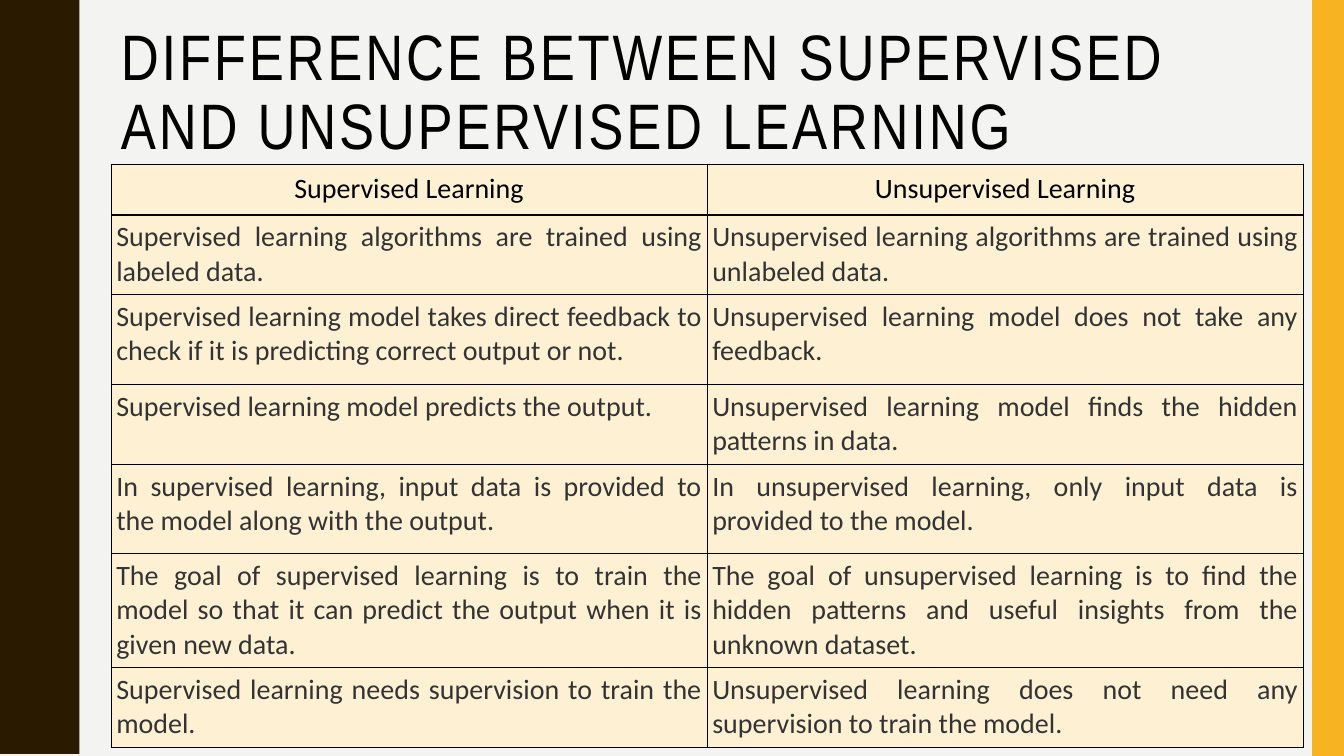
"""Build a slide comparing supervised and unsupervised learning."""
from dataclasses import dataclass

from lxml import etree
from pptx import Presentation
from pptx import util as u
from pptx.dml.color import RGBColor
from pptx.enum import shapes, text
from pptx.oxml import ns

BROWN = RGBColor(0x2A, 0x1A, 0x00)
GOLD = RGBColor(0xF8, 0xB3, 0x23)
CREAM = RGBColor(0xFE, 0xF0, 0xD3)
PALE = RGBColor(0xF3, 0xF3, 0xF2)
BLACK = RGBColor(0, 0, 0)
CHARCOAL = RGBColor(0x33, 0x33, 0x33)

SLIDE_WIDTH, SLIDE_HEIGHT = 33.87, 19.05
WAVE_COUNT = 5
WAVE_PERIOD = SLIDE_HEIGHT / WAVE_COUNT
HALF_WAVE = [
    (1.98, 0), (1.99, 0.18), (2.01, 0.36), (2.04, 0.51), (2.07, 0.64),
    (2.11, 0.74), (2.16, 0.84), (2.21, 0.95), (2.26, 1.06), (2.31, 1.17),
    (2.36, 1.27), (2.41, 1.4), (2.44, 1.55), (2.46, 1.73), (2.46, 1.9),
]


@dataclass
class Comparison:
    """One table row: both sides, and its height in centimetres."""
    supervised: str
    unsupervised: str
    height: float


HEADER = Comparison("Supervised Learning", "Unsupervised Learning", 1.28)
COMPARISONS = [
    Comparison("Supervised learning algorithms are trained using labeled data.",
               "Unsupervised learning algorithms are trained using unlabeled data.", 2.01),
    Comparison("Supervised learning model takes direct feedback to check if it is "
               "predicting correct output or not.",
               "Unsupervised learning model does not take any feedback.", 2.26),
    Comparison("Supervised learning model predicts the output.",
               "Unsupervised learning model finds the hidden patterns in data.", 2.01),
    Comparison("In supervised learning, input data is provided to the model along "
               "with the output.",
               "In unsupervised learning, only input data is provided to the model.", 2.26),
    Comparison("The goal of supervised learning is to train the model so that it can "
               "predict the output when it is given new data.",
               "The goal of unsupervised learning is to find the hidden patterns and "
               "useful insights from the unknown dataset.", 2.87),
    Comparison("Supervised learning needs supervision to train the model.",
               "Unsupervised learning does not need any supervision to train the model.", 2.01),
]


def write(frame, wording: str, *, size: float, font: str = "Calibri",
          color: RGBColor = CHARCOAL, align=text.PP_ALIGN.JUSTIFY,
          line_spacing: float = 1.0, tracking: float = 0) -> None:
    """Put one formatted paragraph into a text frame."""
    frame.word_wrap = True
    paragraph = frame.paragraphs[0]
    paragraph.alignment = align
    paragraph.line_spacing = line_spacing
    run = paragraph.add_run()
    run.text = wording
    run.font.size = u.Pt(size)
    run.font.name = font
    run.font.bold = False
    run.font.color.rgb = color
    if tracking:
        run.font._element.set("spc", str(round(tracking * 100)))


def paint(shape, color: RGBColor) -> None:
    """Give a shape a flat fill without outline or shadow."""
    shape.shadow.inherit = False
    shape.fill.solid()
    shape.fill.fore_color.rgb = color
    shape.line.fill.background()


def draw_wave(slide) -> None:
    """Draw the wavy band along the left edge."""
    crest_to_trough = [(x, WAVE_PERIOD - y) for x, y in reversed(HALF_WAVE[:-1])]
    edge = [(x, y + wave * WAVE_PERIOD) for wave in range(WAVE_COUNT)
            for x, y in HALF_WAVE + crest_to_trough]
    outline = slide.shapes.build_freeform(0, 0, scale=float(u.Cm(1)))
    outline.add_line_segments(edge + [(0, SLIDE_HEIGHT)], close=True)
    paint(outline.convert_to_shape(), BROWN)


def border(cell, color: RGBColor = BLACK, width: float = 1) -> None:
    """Rule all four sides of a cell, ahead of its fill."""
    properties = cell._tc.get_or_add_tcPr()
    for position, side in enumerate(("lnL", "lnR", "lnT", "lnB")):
        line = etree.Element(ns.qn(f"a:{side}"), w=str(u.Pt(width)))
        fill = etree.SubElement(line, ns.qn("a:solidFill"))
        etree.SubElement(fill, ns.qn("a:srgbClr"), val=str(color))
        properties.insert(position, line)


def draw_table(slide) -> None:
    """Draw the comparison table with its header row."""
    rows = [HEADER] + COMPARISONS
    height = sum(row.height for row in rows)
    table = slide.shapes.add_table(len(rows), 2, u.Cm(2.8), u.Cm(4.14),
                                   u.Cm(30.04), u.Cm(height)).table
    table.first_row = table.horz_banding = False
    for index, row in enumerate(rows):
        table.rows[index].height = u.Cm(row.height)
        is_header = row is HEADER
        for column, wording in enumerate((row.supervised, row.unsupervised)):
            cell = table.cell(index, column)
            cell.fill.solid()
            cell.fill.fore_color.rgb = CREAM
            inset = u.Cm(0.2 if is_header else 0.13)
            cell.margin_left = cell.margin_right = inset
            cell.margin_top = cell.margin_bottom = inset
            border(cell)
            write(cell.text_frame, wording, size=20,
                  color=BLACK if is_header else CHARCOAL,
                  align=text.PP_ALIGN.CENTER if is_header else text.PP_ALIGN.JUSTIFY)


def main() -> None:
    """Assemble and save the slide."""
    deck = Presentation()
    deck.slide_width, deck.slide_height = u.Cm(SLIDE_WIDTH), u.Cm(SLIDE_HEIGHT)
    slide = deck.slides.add_slide(deck.slide_layouts[6])
    slide.background.fill.solid()
    slide.background.fill.fore_color.rgb = PALE

    draw_wave(slide)
    gold_band = slide.shapes.add_shape(shapes.MSO_SHAPE.RECTANGLE, u.Cm(33.07), 0,
                                       u.Cm(0.8), u.Cm(SLIDE_HEIGHT))
    paint(gold_band, GOLD)

    title = slide.shapes.add_textbox(u.Cm(2.8), u.Cm(0.43), u.Cm(28.27), u.Cm(4.14))
    title.text_frame.margin_top = u.Cm(0.2)
    write(title.text_frame, "DIFFERENCE BETWEEN SUPERVISED AND UNSUPERVISED LEARNING",
          size=45.9, font="Arial Narrow", color=BLACK, align=text.PP_ALIGN.LEFT,
          line_spacing=0.9, tracking=2)

    draw_table(slide)
    deck.save("out.pptx")


if __name__ == "__main__":
    main()
